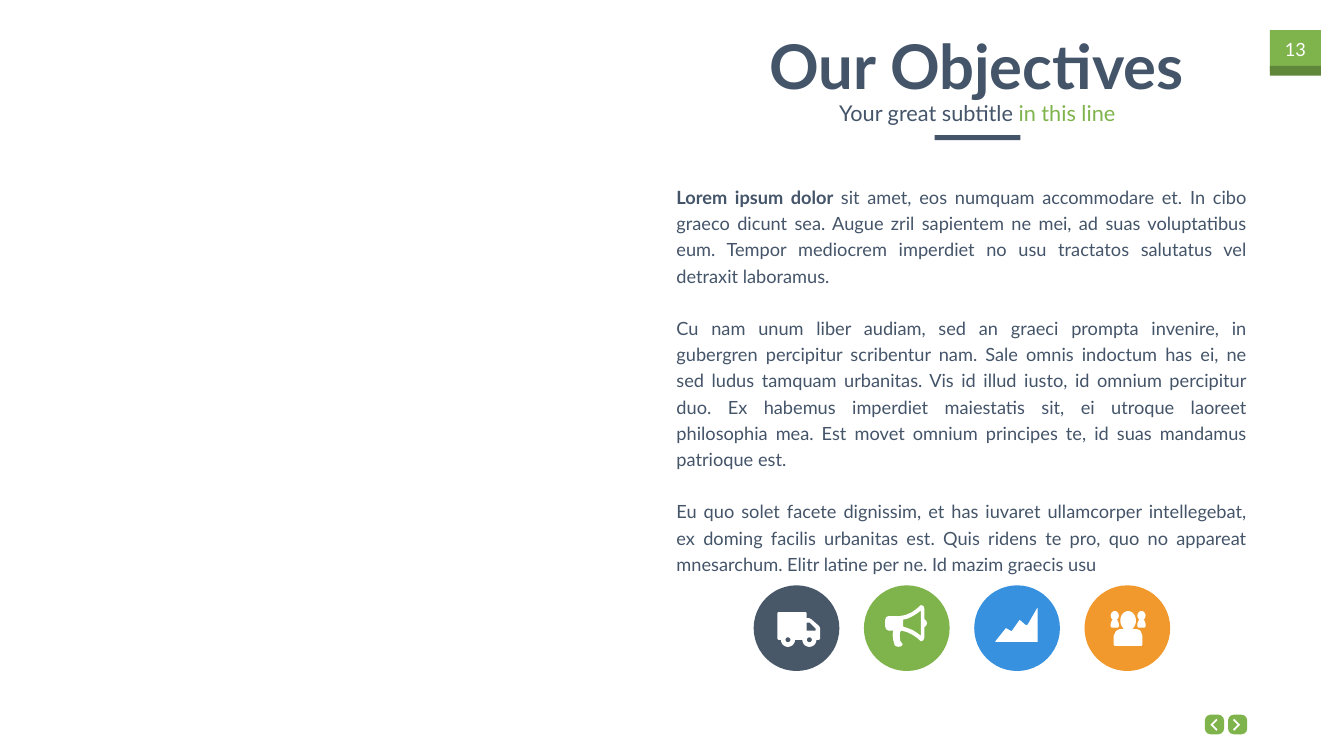
import math

import pptx
import pptx.dml.color
import pptx.enum.shapes
import pptx.enum.text
import pptx.util

Pt = pptx.util.Pt
SHAPES = pptx.enum.shapes.MSO_SHAPE
ALIGN = pptx.enum.text.PP_ALIGN

COLORS = {
    "navy": "445469",
    "slate": "485868",
    "green": "7FB34C",
    "dark_green": "5F8639",
    "blue": "3891DE",
    "orange": "F1992D",
    "white": "FFFFFF",
}
FONT = "Lato"
BODY = [
    [("Lorem ipsum dolor ", True),
     ("sit amet, eos numquam accommodare et. In cibo graeco dicunt sea. Augue zril "
      "sapientem ne mei, ad suas voluptatibus eum. Tempor mediocrem imperdiet no usu "
      "tractatos salutatus vel detraxit laboramus.", False)],
    [("Cu nam unum liber audiam, sed an graeci prompta invenire, in gubergren percipitur "
      "scribentur nam. Sale omnis indoctum has ei, ne sed ludus tamquam urbanitas. Vis id "
      "illud iusto, id omnium percipitur duo. Ex habemus imperdiet maiestatis sit, ei "
      "utroque laoreet philosophia mea. Est movet omnium principes te, id suas mandamus "
      "patrioque est.", False)],
    [("Eu quo solet facete dignissim, et has iuvaret ullamcorper intellegebat, ex doming "
      "facilis urbanitas est. Quis ridens te pro, quo no appareat mnesarchum. Elitr latine "
      "per ne. Id mazim graecis usu", False)],
]


def rgb(name):
    return pptx.dml.color.RGBColor.from_string(COLORS[name])


def paint(shape, color):
    shape.shadow.inherit = False
    shape.fill.solid()
    shape.fill.fore_color.rgb = rgb(color)
    shape.line.fill.background()


def add_block(slide, kind, left, top, width, height, color):
    shape = slide.shapes.add_shape(kind, Pt(left), Pt(top), Pt(width), Pt(height))
    paint(shape, color)
    return shape


def add_outline(slide, left, top, contours, color="white"):
    """Draw closed contours, given in units of 0.72 pt from the box corner."""
    fine = 10  # the builder keeps whole numbers only
    scaled = [[(x * fine, y * fine) for x, y in contour] for contour in contours]
    builder = slide.shapes.build_freeform(*scaled[0][0], scale=Pt(0.72) / fine)
    builder.add_line_segments(scaled[0][1:], close=True)
    for contour in scaled[1:]:
        builder.move_to(*contour[0])
        builder.add_line_segments(contour[1:], close=True)
    paint(builder.convert_to_shape(Pt(left), Pt(top)), color)


def add_text_frame(slide, left, top, width, height, inset_x=7.2, inset_y=3.6, wrap=True):
    frame = slide.shapes.add_textbox(Pt(left), Pt(top), Pt(width), Pt(height)).text_frame
    frame.word_wrap = wrap
    frame.margin_left = frame.margin_right = Pt(inset_x)
    frame.margin_top = frame.margin_bottom = Pt(inset_y)
    return frame


def style(paragraph, size, color=None, align=ALIGN.CENTER):
    paragraph.alignment = align
    paragraph.font.name = FONT
    paragraph.font.size = Pt(size)
    if color:
        paragraph.font.color.rgb = rgb(color)


def arc(x, y, radius_x, radius_y, start, end, steps=24):
    angles = [math.radians(start + (end - start) * i / steps) for i in range(steps + 1)]
    return [(x + radius_x * math.cos(a), y + radius_y * math.sin(a)) for a in angles]


def truck():
    wheels = [110.5, 68]
    body = [(47, 55), (49, 53), (103, 53), (105, 55), (105, 65), (110, 65), (114, 67),
            (130, 81), (132, 86), (132, 106), (130, 108)]
    for x in wheels:
        body += arc(x, 108, 14, 14, 0, 180)
    body += [(49, 108), (47, 106)]
    window = [(105, 74), (111, 74), (123, 86), (123, 90), (105, 90)]
    return [body, window] + [arc(x, 108, 5, 5, 0, 360) for x in wheels]


def megaphone():
    horn = [(125, 75), (124, 79), (120, 83), (120, 103), (118, 109), (113, 111), (105, 104),
            (96, 98), (86, 93), (75, 90), (72, 92), (71, 99), (72, 110), (77, 117),
            (74, 121), (69, 122), (64, 121), (61, 119), (58, 108), (57, 98), (58, 90),
            (49, 90), (44, 87), (42, 81), (42, 69), (44, 63), (49, 61), (71, 61), (82, 59),
            (94, 54), (104, 47), (113, 39), (118, 41), (120, 47), (120, 67), (124, 71)]
    opening = [(113, 50), (105, 56), (97, 61), (87, 66), (78, 68), (78, 82), (87, 85),
               (97, 89), (105, 94), (113, 100)]
    return [horn, opening]


def growth():
    return [[(125, 45), (106, 78), (104, 79), (101, 78), (92, 70), (90, 69), (89, 70),
             (75, 90), (74, 91), (72, 90), (65, 86), (63, 85), (62, 86), (42, 111),
             (42, 112), (126, 112), (126, 45)]]


def people():
    leader = arc(86.5, 70, 15.5, 19, 120, 420)
    leader += [(105, 87), (111, 90), (115, 100), (115, 118), (113, 120), (60, 120),
               (58, 118), (58, 100), (62, 91), (69, 87)]
    member = arc(60, 60, 8, 9, 120, 420)
    member += [(66, 70), (68, 76), (68, 82), (66, 84), (54, 84), (52, 82), (52, 76), (54, 70)]
    return [leader, member, [(x + 53, y) for x, y in member]]


def add_page_badge(slide, left, top, width, number):
    add_block(slide, SHAPES.RECTANGLE, left, top, width, 57.6, "green")
    for offset in (57.6, 51):
        add_block(slide, SHAPES.RECTANGLE, left, top + offset, width, 7.2, "dark_green")
    frame = add_text_frame(slide, left + 5.8, top + 4.3, width - 11.6, 46, 14.4, 7.2, wrap=False)
    paragraph = frame.paragraphs[0]
    paragraph.text = number
    style(paragraph, 26, "white")


def add_navigation(slide, left, top):
    chevron = [(23, 8), (25, 11), (16, 20), (25, 29), (23, 32), (11, 20)]
    mirrored = [(35 - x, y) for x, y in chevron]
    for index, arrow in enumerate((chevron, mirrored)):
        button_left = left + index * 33.1
        button = add_block(slide, SHAPES.ROUNDED_RECTANGLE, button_left, top, 27.4, 28, "green")
        button.adjustments[0] = 0.3
        add_outline(slide, button_left, top, [arrow])


def add_heading(slide, left, top, width):
    title = add_text_frame(slide, left, top, width, 113.8).paragraphs[0]
    title.text = "Our Objectives"
    style(title, 88, "navy")
    title.font.bold = True
    add_block(slide, SHAPES.RECTANGLE, left + 427, top + 157, 122.4, 7.2, "navy")
    frame = add_text_frame(slide, left + 28.8, top + 90.7, width - 55.4, 66.2, 17.3, 8.6)
    subtitle = frame.paragraphs[0]
    for text, color in (("Your great subtitle ", "navy"), ("in this line", "green")):
        run = subtitle.add_run()
        run.text = text
        run.font.color.rgb = rgb(color)
    style(subtitle, 31)
    subtitle.line_spacing = 1.2


def add_body(slide, left, top, width, height):
    frame = add_text_frame(slide, left, top, width, height)
    for index, runs in enumerate(BODY):
        paragraph = frame.add_paragraph() if index else frame.paragraphs[0]
        for text, bold in runs:
            run = paragraph.add_run()
            run.text = text
            run.font.bold = bold
        style(paragraph, 26, "navy", ALIGN.JUSTIFY)
        paragraph.line_spacing = 1.2
        if index:
            paragraph.space_before = Pt(37.5)


def add_icon_row(slide, left, top, diameter, step):
    icons = [("slate", truck), ("green", megaphone), ("blue", growth), ("orange", people)]
    for index, (color, icon) in enumerate(icons):
        icon_left = left + index * step
        add_block(slide, SHAPES.OVAL, icon_left, top, diameter, diameter, color)
        add_outline(slide, icon_left, top, icon())


def main():
    presentation = pptx.Presentation()
    presentation.slide_width = Pt(1919.52)
    presentation.slide_height = Pt(1080)
    slide = presentation.slides.add_slide(presentation.slide_layouts[6])
    add_page_badge(slide, 1813.7, 43.2, 72.7, "13")
    add_navigation(slide, 1720.8, 1021)
    add_body(slide, 959, 256.3, 829.4, 535.7)
    add_icon_row(slide, 1076.4, 836.2, 122.4, 157.5)
    add_heading(slide, 907.9, 36, 973.4)
    presentation.save("out.pptx")


if __name__ == "__main__":
    main()
